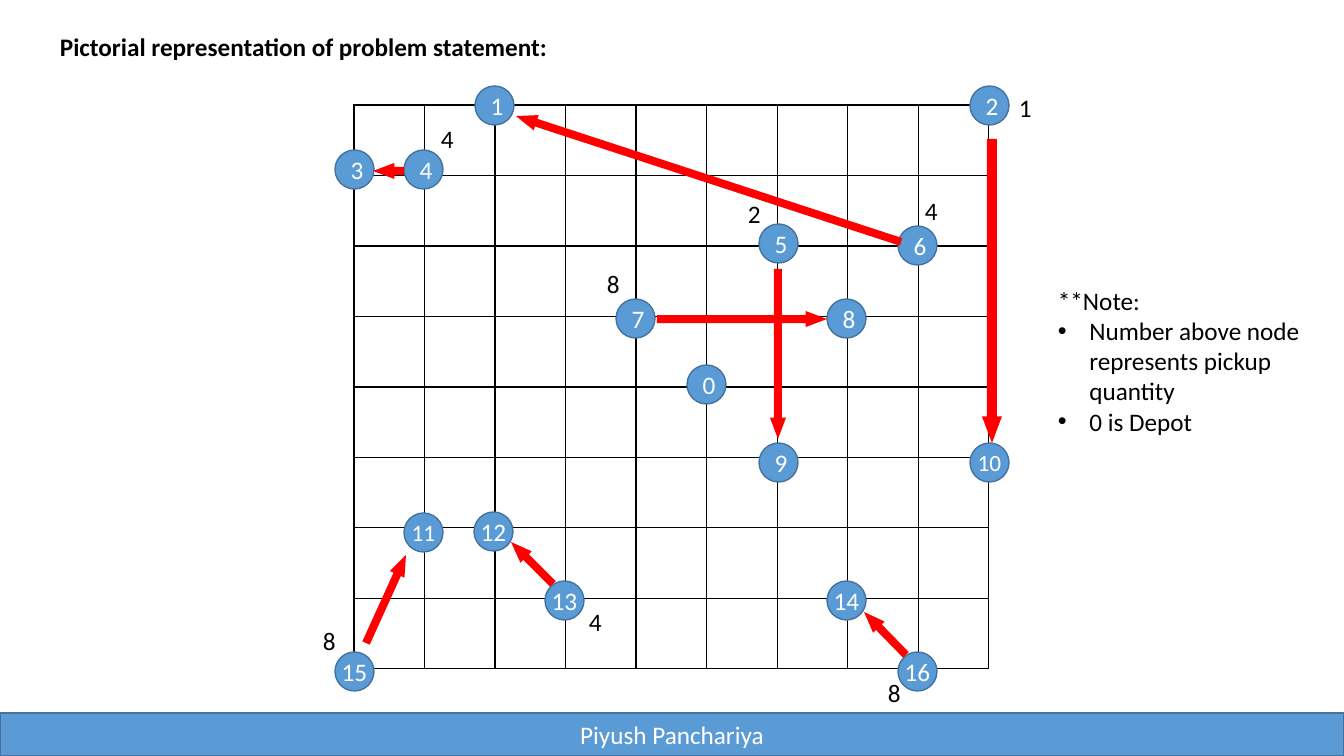
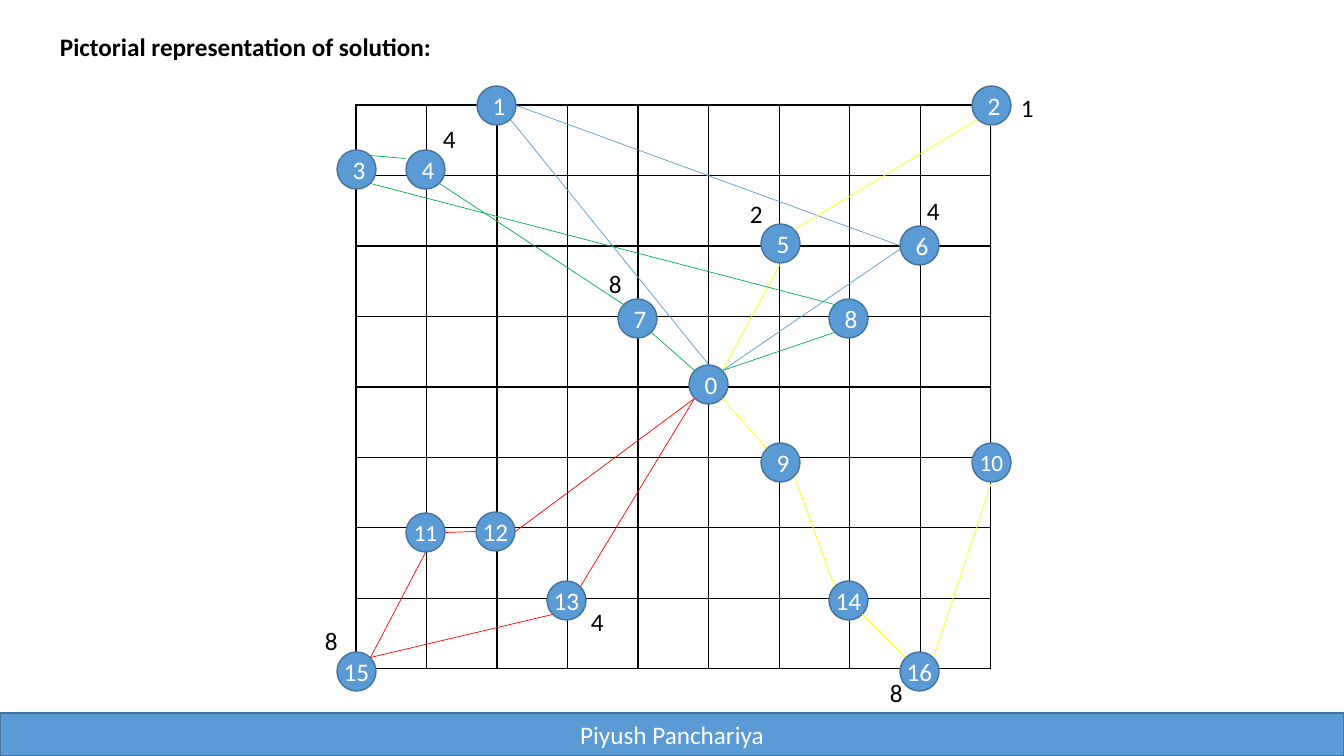
import math
from dataclasses import dataclass

import lxml.etree
import pptx
import pptx.dml.color
import pptx.enum.shapes
import pptx.enum.text
import pptx.oxml
import pptx.oxml.ns
import pptx.util

SHAPE = pptx.enum.shapes.MSO_SHAPE
ALIGN = pptx.enum.text.PP_ALIGN
ANCHOR = pptx.enum.text.MSO_ANCHOR
qn = pptx.oxml.ns.qn


@dataclass(frozen=True)
class Theme:
    font: str = "Calibri"
    body: float = 18
    tight: float = 16.6
    ink: str = "000000"
    paper: str = "FFFFFF"
    accent: str = "5B9BD5"
    edge: str = "43739E"
    red: str = "FF0000"
    yellow: str = "FFFF00"
    green: str = "00B050"


T = Theme()
WIDTH, HEIGHT = 1344, 756
EMU_PER_PX = 914400 / 100.8
NODE = 39
GRID_LEFT, GRID_TOP, GRID_W, GRID_H = 354, 105, 635, 564
COLS, ROWS = 9, 8
SOLUTION_SHIFT = 2

# Top left corner of each node
NODES = {
    1: (475, 86), 2: (970, 86), 4: (404, 150), 3: (335, 150), 6: (898, 226),
    5: (759, 224), 8: (827, 299), 7: (616, 299), 0: (687, 365), 9: (759, 443),
    10: (970, 443), 11: (404, 513), 12: (474, 512), 13: (545, 581),
    15: (335, 652), 16: (898, 652), 14: (827, 581),
}
TIGHT_NODES = (10, 11)

# Pickup quantities: text, left, top
QUANTITIES = [
    ("1", 1009, 87), ("4", 915, 190), ("4", 431, 118), ("2", 738, 193),
    ("8", 597, 263), ("4", 579, 601), ("8", 313, 620), ("8", 878, 672),
]

# Pickup to delivery arrows: tail, tip, width
DELIVERIES = [
    ((901, 242), (516, 116), 16),
    ((992, 139), (992, 443), 20),
    ((778, 269), (778, 439), 16),
    ((657, 319), (827, 319), 16),
    ((404, 171), (373, 171), 16),
    ((906, 655), (864, 612), 16),
    ((553, 584), (511, 542), 16),
    ((366, 643), (406, 555), 16),
]

# Points on a node's rim, from its centre
SITES = {
    "N": (0, -20), "S": (0, 20), "E": (20, 0), "W": (-20, 0),
    "NE": (14, -14), "NW": (-14, -14), "SE": (14, 14), "SW": (-14, 14),
    "WNW": (-20, -11), "WSW": (-20, 4),
}

# Vehicle routes: colour, then legs as node, site, node, site
ROUTES = [
    (T.accent, [(0, "NE", 6, "WSW"), (6, "W", 1, "E"), (1, "SE", 0, "N")]),
    (T.red, [(0, "SW", 13, "NE"), (13, "SW", 15, "NE"), (15, "NE", 11, "S"),
             (11, "E", 12, "W"), (12, "E", 0, "SW")]),
    (T.yellow, [(0, "NE", 5, "S"), (5, "NE", 2, "SW"), (2, "S", 10, "N"),
                (10, "S", 16, "NE"), (16, "NW", 14, "SE"),
                (14, "NW", 9, "SE"), (9, "NW", 0, "SE")]),
    (T.green, [(0, "NW", 7, "SE"), (7, "NW", 4, "SE"), (4, "WNW", 3, "NE"),
               (3, "SE", 8, "NW"), (8, "SW", 0, "NE")]),
]


def px(n):
    return pptx.util.Emu(round(n * EMU_PER_PX))


def rgb(value):
    return pptx.dml.color.RGBColor.from_string(value)


def add_bullet(p):
    pPr = p._p.get_or_add_pPr()
    pPr.set("marL", "285750")
    pPr.set("indent", "-285750")
    lxml.etree.SubElement(pPr, qn("a:buFont")).set("typeface", "Arial")
    lxml.etree.SubElement(pPr, qn("a:buChar")).set("char", "\u2022")


def write(sp, *lines, size=T.body, color=T.ink, bold=False, align=None,
          anchor=None, inset=None, bullets_from=None):
    tf = sp.text_frame
    tf.word_wrap = True
    if anchor is not None:
        tf.vertical_anchor = anchor
    if inset is not None:
        tf.margin_left = tf.margin_right = tf.margin_top = tf.margin_bottom = inset
    for i, line in enumerate(lines):
        p = tf.add_paragraph() if i else tf.paragraphs[0]
        if align is not None:
            p.alignment = align
        if bullets_from is not None and i >= bullets_from:
            add_bullet(p)
        r = p.add_run()
        r.text = line
        r.font.name = T.font
        r.font.size = pptx.util.Pt(size)
        r.font.bold = bold
        r.font.color.rgb = rgb(color)


def add_shape(s, kind, left, top, width, height, fill, line=None):
    sp = s.shapes.add_shape(kind, px(left), px(top), px(width), px(height))
    sp.shadow.inherit = False
    sp.fill.solid()
    sp.fill.fore_color.rgb = rgb(fill)
    if line:
        sp.line.color.rgb = rgb(line)
        sp.line.width = pptx.util.Pt(1)
    else:
        sp.line.fill.background()
    return sp


def add_text(s, left, top, width, height, *lines, **fmt):
    sp = s.shapes.add_textbox(px(left), px(top), px(width), px(height))
    write(sp, *lines, **fmt)
    sp.text_frame.auto_size = pptx.enum.text.MSO_AUTO_SIZE.SHAPE_TO_FIT_TEXT


def add_border(cell):
    tcPr = cell._tc.get_or_add_tcPr()
    for side in ("lnL", "lnR", "lnT", "lnB"):
        ln = lxml.etree.SubElement(tcPr, qn("a:" + side))
        ln.set("w", str(pptx.util.Pt(1)))
        fill = lxml.etree.SubElement(ln, qn("a:solidFill"))
        lxml.etree.SubElement(fill, qn("a:srgbClr")).set("val", T.ink)


def add_grid(s, dx):
    table = s.shapes.add_table(ROWS, COLS, px(GRID_LEFT + dx), px(GRID_TOP),
                               px(GRID_W), px(GRID_H)).table
    table.first_row = table.horz_banding = False
    for col in table.columns:
        col.width = px(GRID_W / COLS)
    for row in table.rows:
        row.height = px(GRID_H / ROWS)
    for cell in table.iter_cells():
        add_border(cell)
        cell.fill.background()


def add_node(s, number, dx):
    left, top = NODES[number]
    sp = add_shape(s, SHAPE.OVAL, left + dx, top, NODE, NODE, T.accent, T.edge)
    write(sp, str(number), color=T.paper, align=ALIGN.CENTER,
          anchor=ANCHOR.MIDDLE, inset=0 if number > 9 else None,
          size=T.tight if number in TIGHT_NODES else T.body)


def add_arrow(s, tail, tip, width):
    dx, dy = tip[0] - tail[0], tip[1] - tail[1]
    length = math.hypot(dx, dy)
    left = (tail[0] + tip[0] - width) / 2
    top = (tail[1] + tip[1] - length) / 2
    sp = add_shape(s, SHAPE.DOWN_ARROW, left, top, width, length, T.red)
    sp.adjustments[0], sp.adjustments[1] = 0.5, 1.33
    sp.rotation = round(math.degrees(math.atan2(-dx, dy)) % 360, 1)


def rim_point(number, site, dx):
    left, top = NODES[number]
    x, y = SITES[site]
    return px(left + NODE / 2 + x + dx), px(top + NODE / 2 + y)


def add_leg(s, leg, color, dx):
    start, start_site, end, end_site = leg
    line = s.shapes.add_connector(pptx.enum.shapes.MSO_CONNECTOR.STRAIGHT,
                                  *rim_point(start, start_site, dx),
                                  *rim_point(end, end_site, dx))
    line.line.color.rgb = rgb(color)
    line.line.width = pptx.util.Pt(0.5)
    lxml.etree.SubElement(line._element.spPr, qn("a:effectLst"))


def add_quantities(s, dx):
    for text, left, top in QUANTITIES:
        add_text(s, left + dx, top, 39, 40, text)


def start_slide(prs, dx=0):
    s = prs.slides.add_slide(prs.slide_layouts[6])
    add_grid(s, dx)
    for number in NODES:
        add_node(s, number, dx)
    return s


def add_footer_and_title(s, title):
    band = add_shape(s, SHAPE.RECTANGLE, 0, 713, WIDTH, 43, T.accent, T.edge)
    write(band, "Piyush Panchariya", color=T.paper, align=ALIGN.CENTER,
          anchor=ANCHOR.MIDDLE)
    add_text(s, 50, 26, 676, 40, title, bold=True)


def build_problem(prs):
    s = start_slide(prs)
    for delivery in DELIVERIES:
        add_arrow(s, *delivery)
    add_quantities(s, 0)
    add_footer_and_title(s, "Pictorial representation of problem statement:")
    add_text(s, 1048, 280, 279, 163, "**Note:",
             "Number above node represents pickup quantity", "0 is Depot",
             bullets_from=1)


def build_solution(prs):
    s = start_slide(prs, SOLUTION_SHIFT)
    add_quantities(s, SOLUTION_SHIFT)
    for color, legs in ROUTES:
        for leg in legs:
            add_leg(s, leg, color, SOLUTION_SHIFT)
    add_footer_and_title(s, "Pictorial representation of solution:")


def main():
    prs = pptx.Presentation()
    prs.slide_width, prs.slide_height = px(WIDTH), px(HEIGHT)
    build_problem(prs)
    build_solution(prs)
    prs.save("out.pptx")


main()
